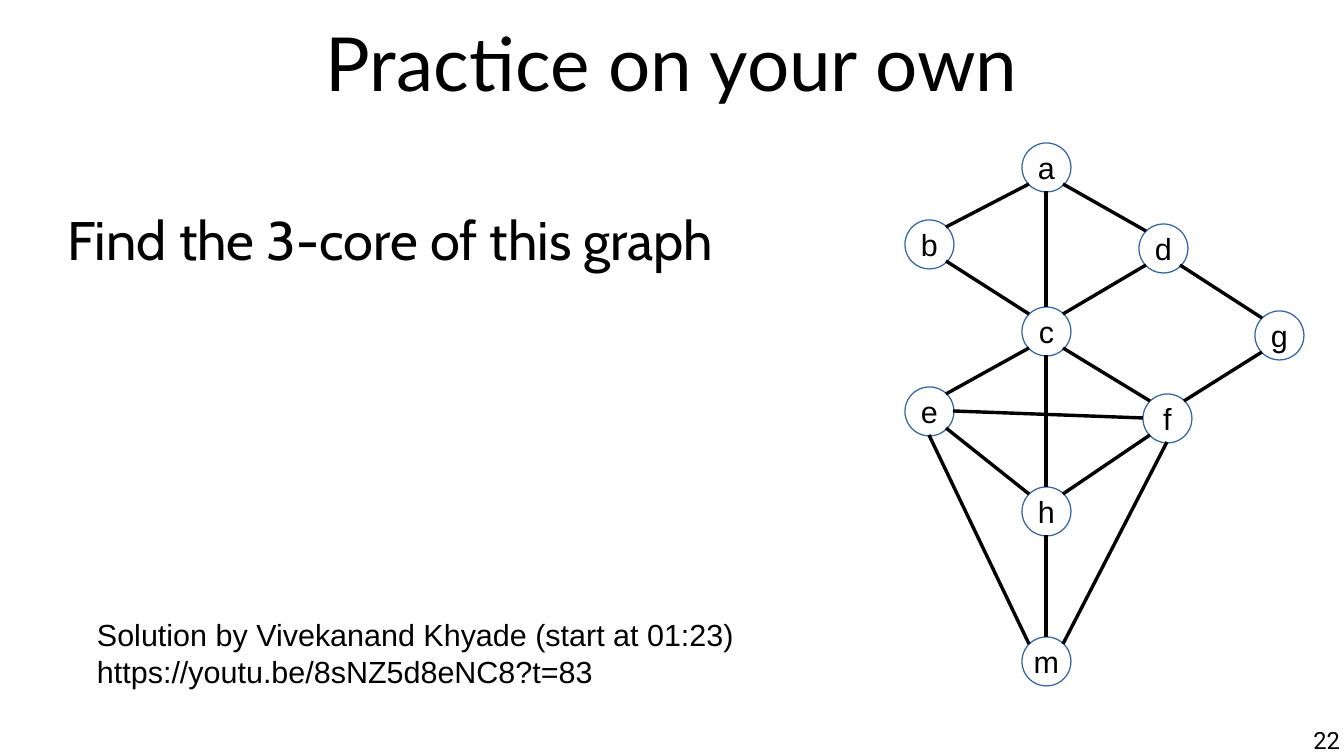
from lxml import etree
from pptx import Presentation, util as u
from pptx.dml.color import RGBColor
from pptx.enum import shapes, text
from pptx.oxml.ns import qn

PX = 914400 / 122
NODE = 49


def px(*lengths):
    return [u.Emu(round(n * PX)) for n in lengths]


def write(frame, lines, font, size, align, anchor):
    frame.text = "\n".join(lines)
    frame.vertical_anchor = anchor
    for paragraph in frame.paragraphs:
        paragraph.alignment = align
        paragraph.font.name = font
        paragraph.font.size = u.Pt(size)
        paragraph.font.color.rgb = RGBColor.from_string("000000")


deck = Presentation()
deck.slide_width, deck.slide_height = px(1344, 756)
slide = deck.slides.add_slide(deck.slide_layouts[6])

LEFT, CENTER, RIGHT = text.PP_ALIGN.LEFT, text.PP_ALIGN.CENTER, text.PP_ALIGN.RIGHT
TOP, MIDDLE = text.MSO_ANCHOR.TOP, text.MSO_ANCHOR.MIDDLE
passages = [
    ((67, 1, 1210, 121), 0, ["Practice on your own"], "Lato", 44, CENTER, MIDDLE),
    ((67, 206, 763, 439), 0, ["Find the 3-core of this graph"], "Cabin", 32, LEFT, TOP),
    ((85, 610, 769, 120), 12, ["Solution by Vivekanand Khyade (start at 01:23)",
                               "https://youtu.be/8sNZ5d8eNC8?t=83"], "Arial", 18, LEFT, TOP),
    ((1026, 726, 314, 31), 0, ["22"], "Roboto", 14, RIGHT, TOP),
]
for place, inset, lines, font, size, align, anchor in passages:
    frame = slide.shapes.add_textbox(*px(*place)).text_frame
    frame.word_wrap = True
    frame.margin_left, frame.margin_right = px(inset, inset)
    frame.margin_top, frame.margin_bottom = px(inset / 2, inset / 2)
    write(frame, lines, font, size, align, anchor)

vertices = {
    "a": (1022, 143), "b": (905, 220), "c": (1022, 307),
    "f": (1143, 394), "d": (1139, 224), "g": (1255, 311),
    "e": (905, 387), "h": (1022, 487), "m": (1022, 637),
}
for label, corner in vertices.items():
    vertex = slide.shapes.add_shape(shapes.MSO_SHAPE.OVAL, *px(*corner, NODE, NODE))
    vertex.shadow.inherit = False
    vertex.fill.background()
    vertex.line.color.rgb = RGBColor.from_string("3465A4")
    vertex.line.width = u.Pt(0)
    vertex.text_frame.word_wrap = False
    write(vertex.text_frame, [label], "Arial", 18, CENTER, MIDDLE)

directions = {
    "N": (0, -24), "NE": (17, -17), "E": (24, 0), "SE": (17, 17),
    "S": (0, 24), "SW": (-17, 17), "W": (-24, 0), "NW": (-17, -17),
}
edges = [
    "b NE a SW", "a SE d NW", "a S c N", "b SE c NW", "c NE d SW",
    "e NE c SW", "e SE h NW", "e S m NW", "f SW h NE", "f S m NE",
    "c S h N", "c SE f NW", "f NE g SW", "g NW d SE", "f W e E", "m N h S",
]
for edge in edges:
    start, leaving, end, entering = edge.split()
    ends = [vertices[vertex][axis] + NODE // 2 + directions[side][axis]
            for vertex, side in ((start, leaving), (end, entering)) for axis in (0, 1)]
    link = slide.shapes.add_connector(shapes.MSO_CONNECTOR.STRAIGHT, *px(*ends))
    link.line.color.rgb = RGBColor.from_string("000000")
    link.line.width = u.Pt(0)
    etree.SubElement(link._element.spPr, qn("a:effectLst"))

deck.save("out.pptx")
